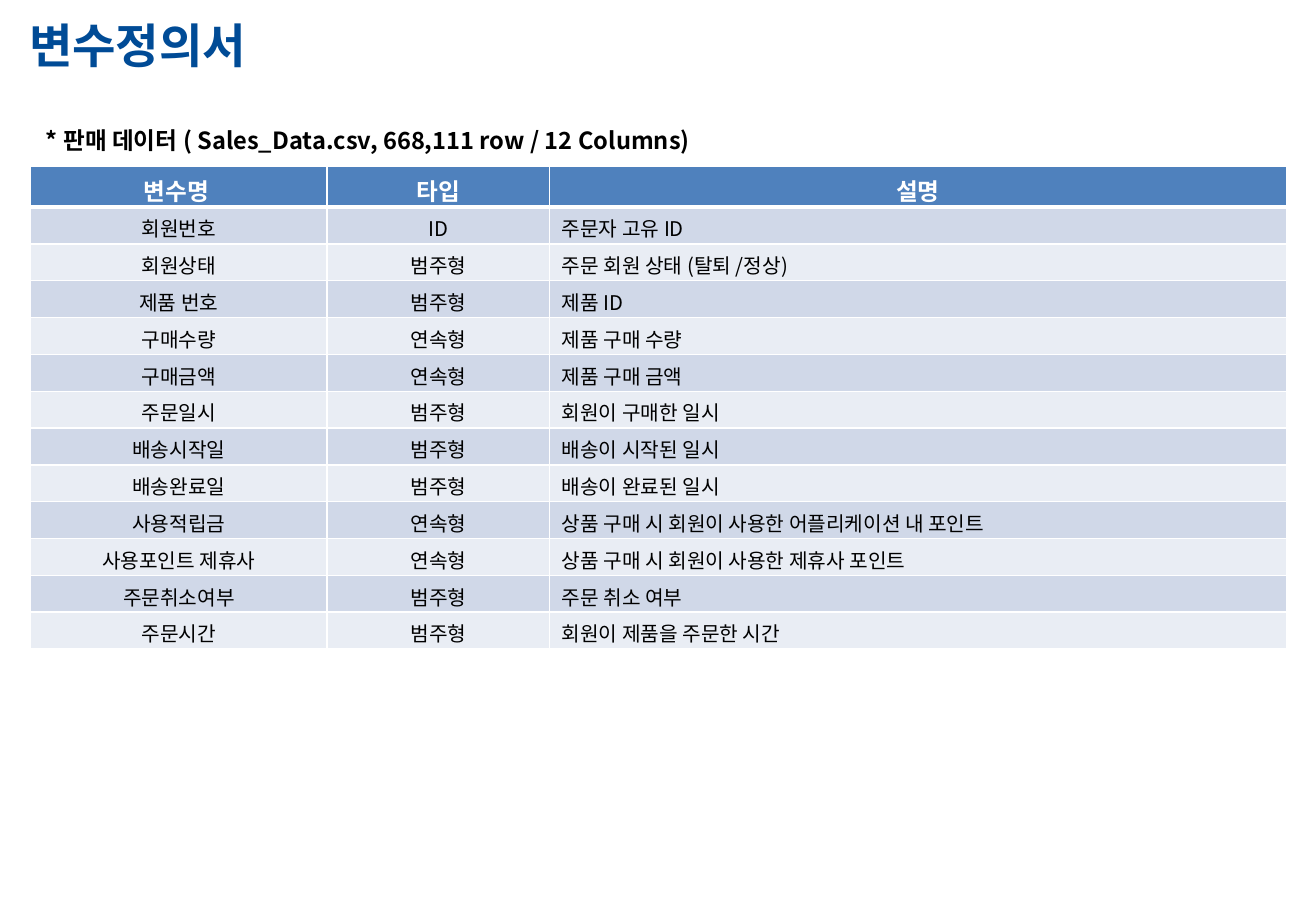
from dataclasses import dataclass

from pptx import Presentation
from pptx.dml.color import RGBColor
from pptx.enum.text import MSO_ANCHOR, MSO_AUTO_SIZE, PP_ALIGN
from pptx.oxml.ns import qn
from pptx.util import Cm, Pt
from lxml import etree

LEFT, CENTER = PP_ALIGN.LEFT, PP_ALIGN.CENTER
TOP, MIDDLE = MSO_ANCHOR.TOP, MSO_ANCHOR.MIDDLE
NO_AUTOFIT = MSO_AUTO_SIZE.NONE
TITLE_ONLY = 5


@dataclass(frozen=True)
class Theme:
    font: str = "Noto Sans CJK KR"
    title: str = "004B96"
    ink: str = "000000"
    white: str = "FFFFFF"
    header: str = "4F81BD"
    bands: tuple = ("D0D8E8", "E9EDF4")
    title_size: int = 28
    heading_size: int = 14
    body_size: int = 12
    rule: int = 1
    header_rule: int = 3


def write(frame, text, *, font, size, color, bold=False, align=LEFT):
    paragraph = frame.paragraphs[0]
    paragraph.alignment = align
    run = paragraph.add_run()
    run.text = text
    run.font.name = font
    run.font.size = Pt(size)
    run.font.bold = bold
    run.font.color.rgb = RGBColor.from_string(color)
    etree.SubElement(run.font._element, qn("a:ea"), typeface=font)


class SlideBuilder:
    def __init__(self, slide, theme):
        self.slide = slide
        self.theme = theme

    def title(self, text, left, top, width, height):
        heading = self.slide.shapes.title
        heading.left, heading.top = Cm(left), Cm(top)
        heading.width, heading.height = Cm(width), Cm(height)
        frame = heading.text_frame
        frame.auto_size = NO_AUTOFIT
        frame.vertical_anchor = MIDDLE
        frame.margin_left = frame.margin_right = Cm(0.13)
        frame.margin_top = frame.margin_bottom = Cm(0.13)
        write(frame, text, font=self.theme.font, size=self.theme.title_size,
              color=self.theme.title, bold=True)

    def caption(self, text, left, top, width, height):
        box = self.slide.shapes.add_textbox(Cm(left), Cm(top), Cm(width), Cm(height))
        box.text_frame.word_wrap = True
        write(box.text_frame, text, font=self.theme.font,
              size=self.theme.heading_size, color=self.theme.ink, bold=True)

    def borders(self, cell, **points):
        """Draw the cell's sides; the lines must come before the fill."""
        properties = cell._tc.get_or_add_tcPr()
        for index, side in enumerate(("L", "R", "T", "B")):
            width = Pt(points.get(side, self.theme.rule))
            line = etree.Element(qn(f"a:ln{side}"), w=str(width))
            fill = etree.SubElement(line, qn("a:solidFill"))
            etree.SubElement(fill, qn("a:srgbClr"), val=self.theme.white)
            properties.insert(index, line)

    def table(self, header, records, left, top, widths, header_height, row_height):
        theme = self.theme
        rows = [header, *records]
        height = header_height + row_height * len(records)
        grid = self.slide.shapes.add_table(
            len(rows), len(header), Cm(left), Cm(top),
            Cm(sum(widths)), Cm(height)).table
        for column, width in zip(grid.columns, widths):
            column.width = Cm(width)

        for r, values in enumerate(rows):
            is_header = r == 0
            grid.rows[r].height = Cm(header_height if is_header else row_height)
            for c, value in enumerate(values):
                cell = grid.cell(r, c)
                cell.margin_top, cell.margin_bottom = Cm(0.13), Cm(0)
                cell.vertical_anchor = TOP
                cell.fill.solid()
                cell.fill.fore_color.rgb = RGBColor.from_string(
                    theme.header if is_header else theme.bands[(r - 1) % 2])
                write(cell.text_frame, value, font=theme.font,
                      size=theme.heading_size if is_header else theme.body_size,
                      color=theme.white if is_header else theme.ink,
                      bold=is_header,
                      align=CENTER if is_header or c < 2 else LEFT)
                self.borders(cell,
                             T=theme.header_rule if r == 1 else theme.rule,
                             B=theme.header_rule if is_header else theme.rule)


HEADER = ("변수명 ", "타입", "설명")
CATEGORY, NUMERIC = "범주형", "연속형"
VARIABLES = [
    ("회원번호", "ID", "주문자 고유 ID"),
    ("회원상태", CATEGORY, "주문 회원 상태 (탈퇴 /정상)"),
    ("제품 번호", CATEGORY, "제품 ID"),
    ("구매수량", NUMERIC, "제품 구매 수량"),
    ("구매금액", NUMERIC, "제품 구매 금액"),
    ("주문일시", CATEGORY, "회원이 구매한 일시"),
    ("배송시작일", CATEGORY, "배송이 시작된 일시"),
    ("배송완료일", CATEGORY, "배송이 완료된 일시"),
    ("사용적립금", NUMERIC, "상품 구매 시 회원이 사용한 어플리케이션 내 포인트"),
    ("사용포인트 제휴사", NUMERIC, "상품 구매 시 회원이 사용한 제휴사 포인트"),
    ("주문취소여부", CATEGORY, "주문 취소 여부"),
    ("주문시간", CATEGORY, "회원이 제품을 주문한 시간"),
]


def main():
    deck = Presentation()
    deck.slide_width, deck.slide_height = Cm(27.51), Cm(19.05)
    slide = deck.slides.add_slide(deck.slide_layouts[TITLE_ONLY])
    builder = SlideBuilder(slide, Theme())

    # Title
    builder.title("변수정의서", 0.48, 0.2, 20.65, 1.45)

    # Variable definitions
    builder.table(HEADER, VARIABLES, left=0.64, top=3.48,
                  widths=(6.2, 4.65, 15.4), header_height=0.84, row_height=0.77)

    # Data set caption
    builder.caption("* 판매 데이터 ( Sales_Data.csv, 668,111 row / 12 Columns)",
                    0.71, 2.51, 15.29, 0.86)

    deck.save("out.pptx")


if __name__ == "__main__":
    main()
